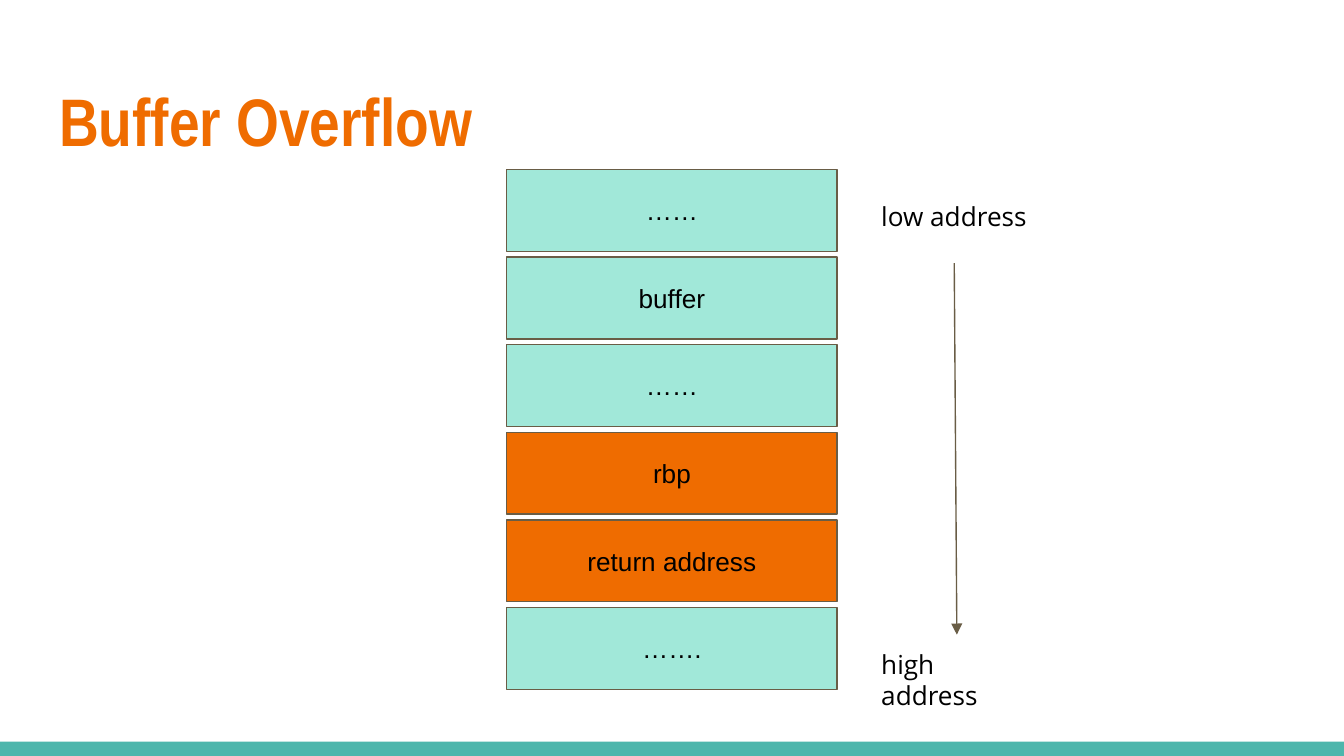
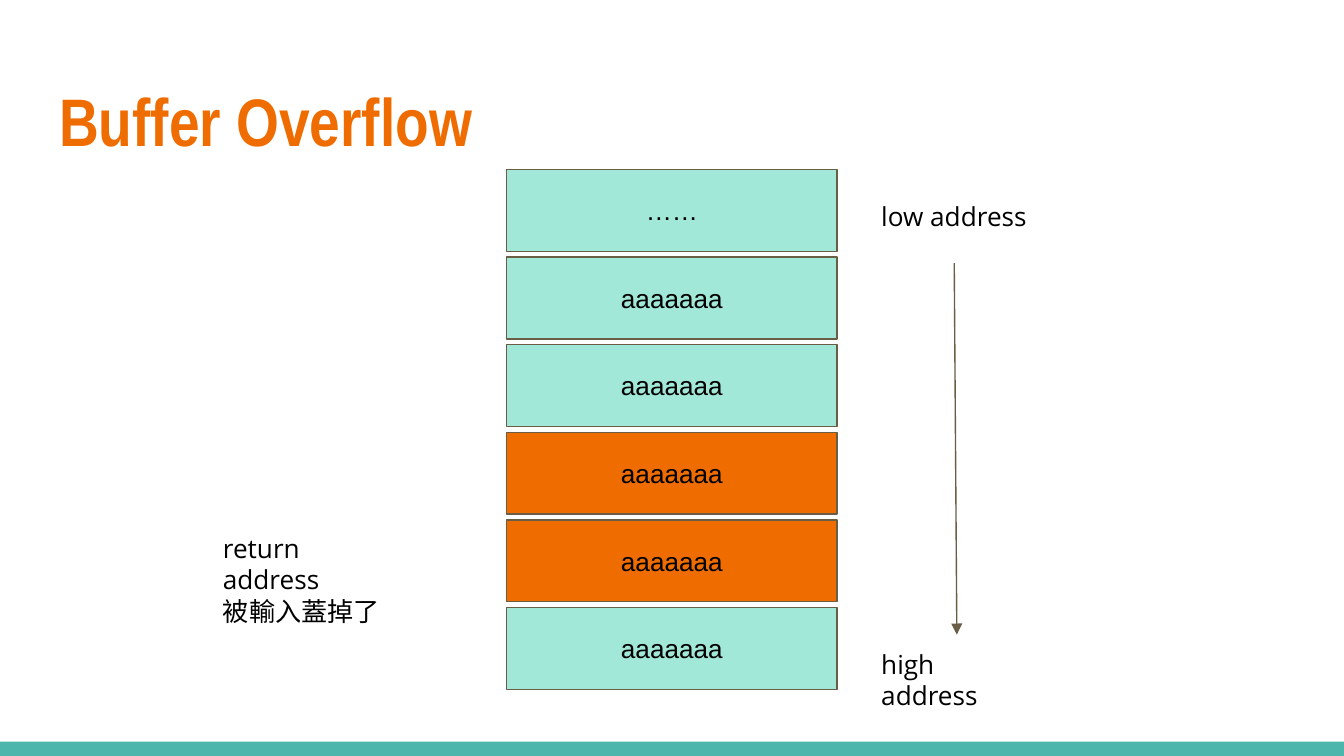
import dataclasses

import pptx
import pptx.dml.color
import pptx.enum.shapes
import pptx.enum.text
import pptx.oxml.ns
import pptx.oxml.xmlchemy
import pptx.util

Pt = pptx.util.Pt
RGB = pptx.dml.color.RGBColor.from_string
TEXT = pptx.enum.text
RECT = pptx.enum.shapes.MSO_SHAPE.RECTANGLE


@dataclasses.dataclass(frozen=True)
class Theme:
    teal: str = "4DB6AC"
    mint: str = "A1E8D9"
    orange: str = "EF6C00"
    brown: str = "695D46"
    black: str = "000000"
    head: str = "Arial Narrow"
    cell: str = "Arial"
    note: str = "Open Sans"
    large: float = 36
    small: float = 14
    rule: float = 0.75
    inset: float = 7.2


theme = Theme()
WIDTH, HEIGHT = 720, 405
BAND = 7.7
STACK = dict(left=271.5, top=90.7, wide=177, high=43.9, pitch=46.95)
FILLS = [theme.mint] * 3 + [theme.orange] * 2 + [theme.mint]
CELLS = [
    ["……", "buffer", "……", "rbp", "return address", "……."],
    ["……"] + ["aaaaaaa"] * 5,
]


def put(item, values):
    for name, value in values.items():
        setattr(item, name, value)


def write(shape, lines, face, size, color=theme.black, bold=False,
          align=TEXT.PP_ALIGN.LEFT, anchor=TEXT.MSO_ANCHOR.TOP):
    frame = shape.text_frame
    frame.text = "\n".join(lines)
    inset = Pt(theme.inset)
    put(frame, dict(margin_left=inset, margin_right=inset, margin_top=inset,
                    margin_bottom=inset, word_wrap=True,
                    auto_size=TEXT.MSO_AUTO_SIZE.NONE, vertical_anchor=anchor))
    for para in frame.paragraphs:
        para.alignment = align
        for run in para.runs:
            put(run.font, dict(name=face, size=Pt(size), bold=bold))
            run.font.color.rgb = RGB(color)


def trace(line):
    line.color.rgb = RGB(theme.brown)
    line.width = Pt(theme.rule)


def block(slide, left, top, wide, high, fill):
    shape = slide.shapes.add_shape(RECT, Pt(left), Pt(top), Pt(wide), Pt(high))
    shape.shadow.inherit = False
    shape.fill.solid()
    shape.fill.fore_color.rgb = RGB(fill)
    shape.line.fill.background()
    return shape


def band(slide):
    shape = block(slide, 0, HEIGHT - BAND, WIDTH, BAND, theme.teal)
    tree = slide.slide_layout.slide_master.element.cSld.spTree
    tree.insert(2, shape.element)


def title(slide, words):
    shape = slide.shapes.title
    put(shape, dict(left=Pt(24.5), top=Pt(35.3), width=Pt(671), height=Pt(55.4)))
    write(shape, [words], theme.head, theme.large, theme.orange, True)


def stack(slide, words):
    for row, (word, fill) in enumerate(zip(words, FILLS)):
        top = STACK["top"] + row * STACK["pitch"]
        shape = block(slide, STACK["left"], top, STACK["wide"], STACK["high"], fill)
        trace(shape.line)
        write(shape, [word], theme.cell, theme.small,
              align=TEXT.PP_ALIGN.CENTER, anchor=TEXT.MSO_ANCHOR.MIDDLE)


def note(slide, left, top, wide, high, *lines):
    shape = slide.shapes.add_textbox(Pt(left), Pt(top), Pt(wide), Pt(high))
    write(shape, lines, theme.note, theme.small)


def arrow(slide, *ends):
    kind = pptx.enum.shapes.MSO_CONNECTOR.STRAIGHT
    shape = slide.shapes.add_connector(kind, *map(Pt, ends))
    trace(shape.line)
    make = pptx.oxml.xmlchemy.OxmlElement
    props = shape.element.spPr
    tail = make("a:tailEnd")
    tail.set("type", "triangle")
    props.find(pptx.oxml.ns.qn("a:ln")).append(tail)
    props.append(make("a:effectLst"))


def build(deck, words):
    slide = deck.slides.add_slide(deck.slide_layouts[5])
    title(slide, "Buffer Overflow")
    stack(slide, words)
    note(slide, 465, 100, 93.6, 27.4, "low address")
    note(slide, 465, 340, 98, 27.4, "high address")
    arrow(slide, 511.2, 141, 512.6, 340)
    return slide


def main():
    deck = pptx.Presentation()
    put(deck, dict(slide_width=Pt(WIDTH), slide_height=Pt(HEIGHT)))
    first, last = [build(deck, words) for words in CELLS]
    band(first)
    note(last, 112.3, 278, 110, 26, "return address", "被輸入蓋掉了")
    deck.save("out.pptx")


if __name__ == "__main__":
    main()
